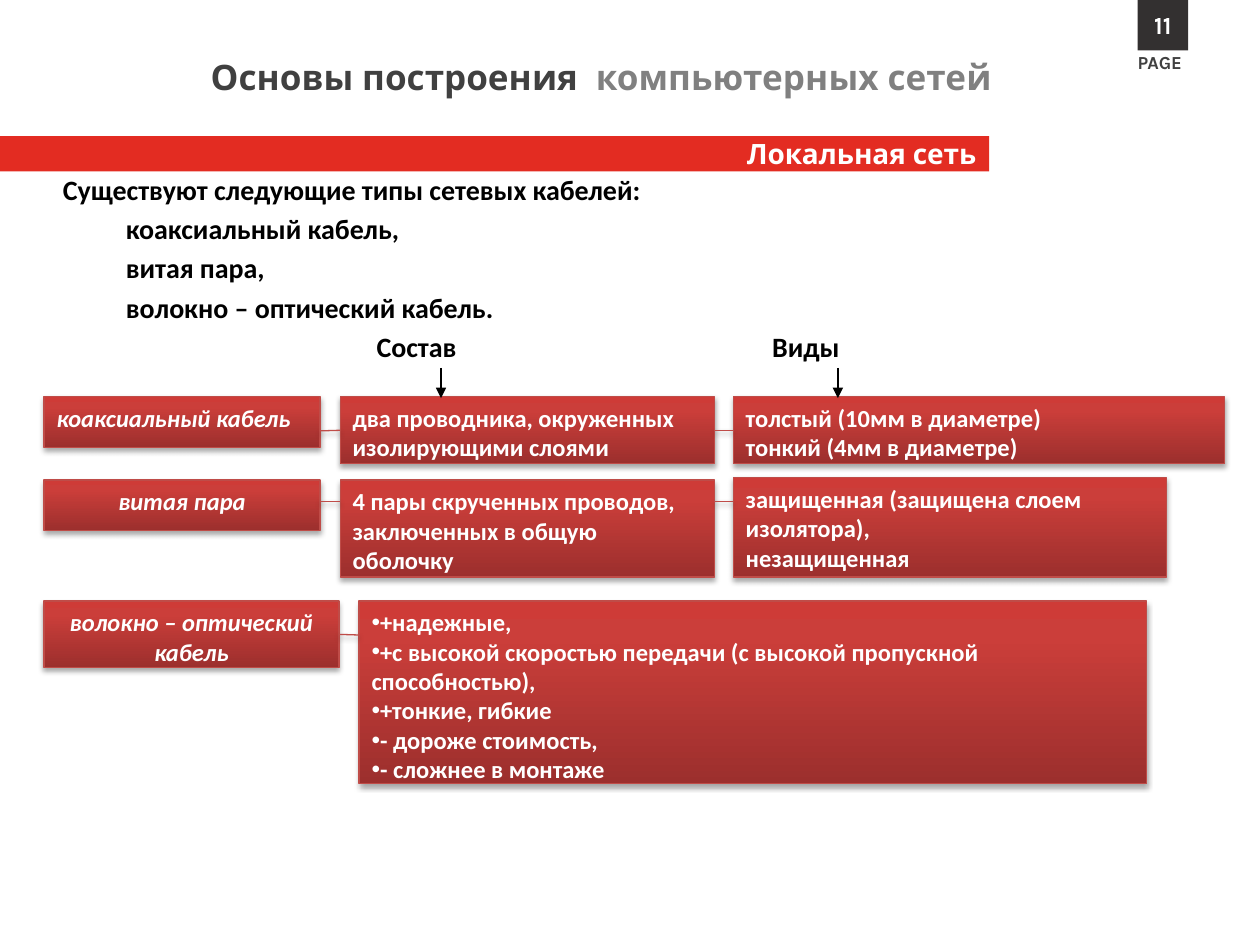
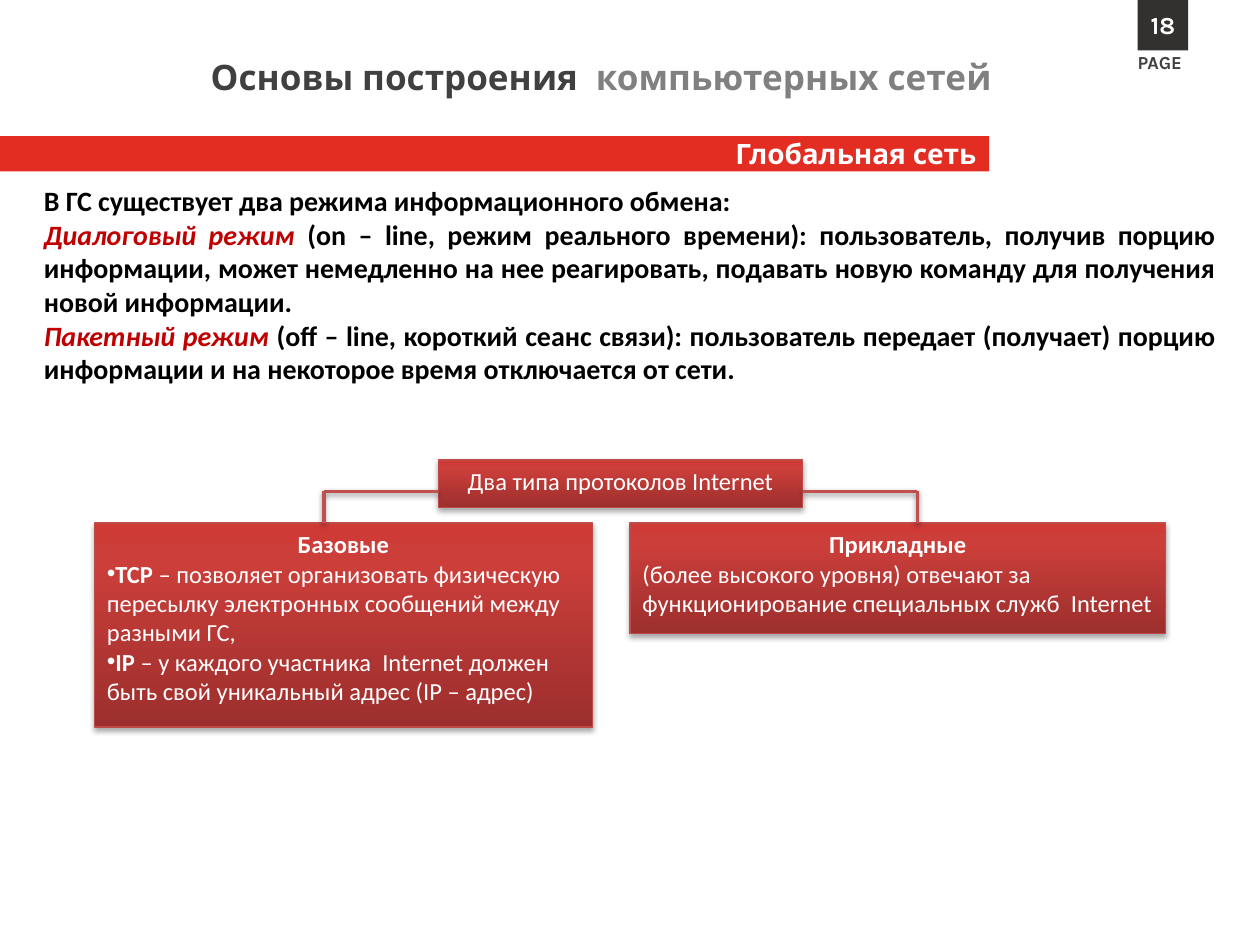
from copy import deepcopy

from lxml.etree import SubElement
from pptx import Presentation
from pptx.dml.color import RGBColor
from pptx.enum.shapes import MSO_CONNECTOR, MSO_SHAPE
from pptx.enum.text import MSO_ANCHOR as ANCHOR, MSO_AUTO_SIZE as AUTO, PP_ALIGN as ALIGN
from pptx.oxml.ns import qn
from pptx.util import Inches, Pt

RED, DARK, GRAY, LIGHT = "E32C22", "333030", "404040", "808080"
WHITE, BLACK, TERM = "FFFFFF", "000000", "C00000"
BOX_LINE, TREE_LINE = "BF4C48", "C0504D"
BOX_STOPS = [(0, "9C2F2D"), (0.8, "CB3E3A"), (1, "CE3B37")]
BOX_SHADOW = {"blur": 3.1, "dist": 1.8, "alpha": 35}
TREE_SHADOW = {"blur": 3.1, "dist": 1.6, "alpha": 38}

HEADING = {"name": "Karla", "bold": True}
BODY = {"name": "Calibri", "size": 16, "bold": True, "color": BLACK}
BOX = {"name": "Calibri", "size": 14, "bold": True, "color": WHITE}
PLAIN = {"bold": False}
ITALIC = {"italic": True}


def rgb(value):
    return RGBColor.from_string(value)


def inches(*values):
    return [Inches(v) for v in values]


def para(*runs, align=ALIGN.LEFT, **extra):
    return {"runs": runs, "align": align, **extra}


def bullet(*runs):
    return para(*runs, bullet=True)


def format_font(font, fmt):
    for key, value in fmt.items():
        if key == "color":
            font.color.rgb = rgb(value)
        else:
            setattr(font, key, Pt(value) if key == "size" else value)


def format_paragraph(p, item):
    p.alignment = item["align"]
    pPr = p._p.get_or_add_pPr()
    if "indent" in item:
        pPr.set("marL", str(Inches(item["indent"])))
        pPr.set("indent", "0")
    if "before" in item:
        p.space_before = Pt(item["before"])
    if item.get("bullet"):
        SubElement(pPr, qn("a:buFont"), typeface="Arial")
        SubElement(pPr, qn("a:buChar"), char="•")
    if "tabs" in item:
        tabs = SubElement(pPr, qn("a:tabLst"))
        for pos in item["tabs"]:
            SubElement(tabs, qn("a:tab"), pos=str(Inches(pos)), algn="l")


def write(tf, items, base, anchor=ANCHOR.TOP, wrap=True):
    for key, value in {"word_wrap": wrap, "auto_size": AUTO.NONE, "vertical_anchor": anchor}.items():
        setattr(tf, key, value)
    for i, item in enumerate(items):
        p = tf.add_paragraph() if i else tf.paragraphs[0]
        format_paragraph(p, item)
        for run in item["runs"]:
            text, fmt = (run, {}) if isinstance(run, str) else run
            r = p.add_run()
            r.text = text
            format_font(r.font, {**base, **fmt})


def add_text(s, at, items, base, **options):
    write(s.shapes.add_textbox(*inches(*at)).text_frame, items, base, **options)


def add_rect(s, at):
    sp = s.shapes.add_shape(MSO_SHAPE.RECTANGLE, *inches(*at))
    sp.shadow.inherit = False
    return sp


def add_plate(s, at, fill, item, base):
    sp = add_rect(s, at)
    sp.fill.solid()
    sp.fill.fore_color.rgb = rgb(fill)
    sp.line.fill.background()
    write(sp.text_frame, [item], base, anchor=ANCHOR.MIDDLE)


def cast_shadow(effects, blur, dist, alpha):
    shadow = SubElement(effects, qn("a:outerShdw"), blurRad=str(Pt(blur)), dist=str(Pt(dist)),
                        dir="5400000", rotWithShape="0")
    color = SubElement(shadow, qn("a:srgbClr"), val=BLACK)
    SubElement(color, qn("a:alpha"), val=str(alpha * 1000))


def add_box(s, at, *items):
    sp = add_rect(s, at)
    sp.fill.gradient()
    sp.fill.gradient_angle = 90
    gs_list = sp._element.spPr.find(".//" + qn("a:gsLst"))
    gs_list.insert(1, deepcopy(gs_list[0]))
    for stop, (position, color) in zip(sp.fill.gradient_stops, BOX_STOPS):
        stop.position = position
        stop.color.rgb = rgb(color)
    sp.line.color.rgb = rgb(BOX_LINE)
    sp.line.width = Pt(0.75)
    cast_shadow(sp._element.spPr.find(qn("a:effectLst")), **BOX_SHADOW)
    write(sp.text_frame, items, BOX)
    return sp


def add_line(s, start, end, color=BOX_LINE, width=0.75, shadow=BOX_SHADOW,
             arrow=False, left_box=None, right_box=None):
    cx = s.shapes.add_connector(MSO_CONNECTOR.STRAIGHT, *inches(*start, *end))
    cx.line.color.rgb = rgb(color)
    cx.line.width = Pt(width)
    if arrow:
        SubElement(cx.line._get_or_add_ln(), qn("a:tailEnd"), type="triangle")
    effects = SubElement(cx._element.spPr, qn("a:effectLst"))
    if shadow:
        cast_shadow(effects, **shadow)
    if left_box:
        cx.begin_connect(left_box, 3)
    if right_box:
        cx.end_connect(right_box, 1)


def new_slide(prs, topic, number):
    s = prs.slides.add_slide(prs.slide_layouts[5])
    title = s.shapes.title
    title.left, title.top, title.width, title.height = inches(0.15, 0.39, 7.82, 0.44)
    write(title.text_frame,
          [para("Основы построения  ", ("компьютерных сетей", {"color": LIGHT}), align=ALIGN.RIGHT)],
          {**HEADING, "size": 20, "color": GRAY})
    add_plate(s, (0, 1.08, 7.85, 0.28), RED, para(topic, align=ALIGN.RIGHT),
              {**HEADING, "size": 16, "color": WHITE})
    add_text(s, (8.93, 0.36, 0.59, 0.28), [para("PAGE")],
             {**HEADING, "size": 10.5, "color": GRAY}, wrap=False)
    add_plate(s, (9.03, 0, 0.4, 0.4), DARK, para(number, align=ALIGN.CENTER),
              {**HEADING, "size": 14, "color": WHITE})
    return s


def local_network(prs):
    s = new_slide(prs, "Локальная сеть", "11")
    cables = ["коаксиальный кабель,", "витая пара,", "волокно – оптический кабель."]
    add_text(s, (0.4, 1.32, 8.75, 4.8),
             [para("Существуют следующие типы сетевых кабелей:"),
              *[para(cable, indent=0.5, before=3.2) for cable in cables],
              para("\tСостав\tВиды", before=3.2, tabs=(2.49, 5.63))], BODY)

    name_x, parts_x, kinds_x = 0.35, 2.7, 5.82
    name_w, parts_w = 2.19, 2.97
    coax_y, pair_y, fiber_y = 3.15, 3.81, 4.77
    add_box(s, (name_x, coax_y, name_w, 0.4), para(("коаксиальный кабель", ITALIC)))
    add_box(s, (name_x, pair_y, name_w, 0.4), para(("витая пара", ITALIC), align=ALIGN.CENTER))
    fiber = add_box(s, (name_x, fiber_y, 2.34, 0.53),
                    para(("волокно – оптический кабель", ITALIC), align=ALIGN.CENTER))
    coax_parts = add_box(s, (parts_x, coax_y, parts_w, 0.53),
                         para("два проводника, окруженных изолирующими слоями"))
    coax_kinds = add_box(s, (kinds_x, coax_y, 3.9, 0.53),
                         para("толстый (10мм в диаметре)"), para("тонкий (4мм в диаметре)"))
    add_box(s, (parts_x, pair_y, parts_w, 0.77),
            para("4 пары скрученных проводов, заключенных в общую оболочку"))
    add_box(s, (kinds_x, 3.79, 3.44, 0.79),
            para("защищенная (защищена слоем изолятора),"), para("незащищенная"))
    fiber_traits = ["+надежные,", "+с высокой скоростью передачи (с высокой пропускной способностью),",
                    "+тонкие, гибкие", "- дороже стоимость,", "- сложнее в монтаже"]
    add_box(s, (2.85, fiber_y, 6.25, 1.45), *[bullet(trait) for trait in fiber_traits])

    name_end, parts_end = name_x + name_w, parts_x + parts_w
    add_line(s, (name_end, 3.42), (parts_x, 3.42), right_box=coax_parts)
    add_line(s, (parts_end, 3.42), (kinds_x, 3.42), left_box=coax_parts, right_box=coax_kinds)
    for start, end in [(name_end, parts_x), (parts_end, kinds_x)]:
        add_line(s, (start, 3.98), (end, 3.98))
    add_line(s, (2.69, 5.04), (2.85, 5.04), left_box=fiber)
    for x in (3.5, 6.65):
        add_line(s, (x, 2.92), (x, 3.16), color=BLACK, shadow=None, arrow=True)


def global_network(prs):
    s = new_slide(prs, "Глобальная сеть", "18")
    term = {"color": TERM, "italic": True}
    add_text(s, (0.25, 1.41, 9.5, 1.72), [
        para("В ГС существует два режима информационного обмена:", align=ALIGN.JUSTIFY),
        para(("Диалоговый режим ", term),
             "(on – line, режим реального времени): пользователь, получив порцию информации, "
             "может немедленно на нее реагировать, подавать новую команду для получения "
             "новой информации.", align=ALIGN.JUSTIFY),
        para(("Пакетный режим ", term),
             "(off – line, короткий сеанс связи): пользователь передает (получает) порцию "
             "информации и на некоторое время отключается от сети.", align=ALIGN.JUSTIFY)], BODY)

    add_box(s, (3.48, 3.65, 2.89, 0.38),
            para(("Два типа протоколов Internet", PLAIN), align=ALIGN.CENTER))
    add_box(s, (0.75, 4.15, 3.95, 1.62),
            para("Базовые", align=ALIGN.CENTER),
            bullet("ТСР ", ("– позволяет организовать физическую пересылку электронных "
                            "сообщений между разными ГС,", PLAIN)),
            bullet("IP", (" – у каждого участника  Internet должен быть свой уникальный "
                          "адрес (IP – адрес)", PLAIN)))
    add_box(s, (5, 4.15, 4.25, 0.88),
            para("Прикладные", align=ALIGN.CENTER),
            para(("(более высокого уровня) отвечают за функционирование специальных служб  Internet",
                  PLAIN)))
    for root_x, branch_x in [(3.48, 2.57), (6.37, 7.28)]:
        for start, end in [((root_x, 3.9), (branch_x, 3.9)), ((branch_x, 3.9), (branch_x, 4.15))]:
            add_line(s, start, end, color=TREE_LINE, width=2, shadow=TREE_SHADOW)


def main():
    prs = Presentation()
    prs.slide_width, prs.slide_height = inches(10, 7.5)
    local_network(prs)
    global_network(prs)
    prs.save("out.pptx")


if __name__ == "__main__":
    main()
